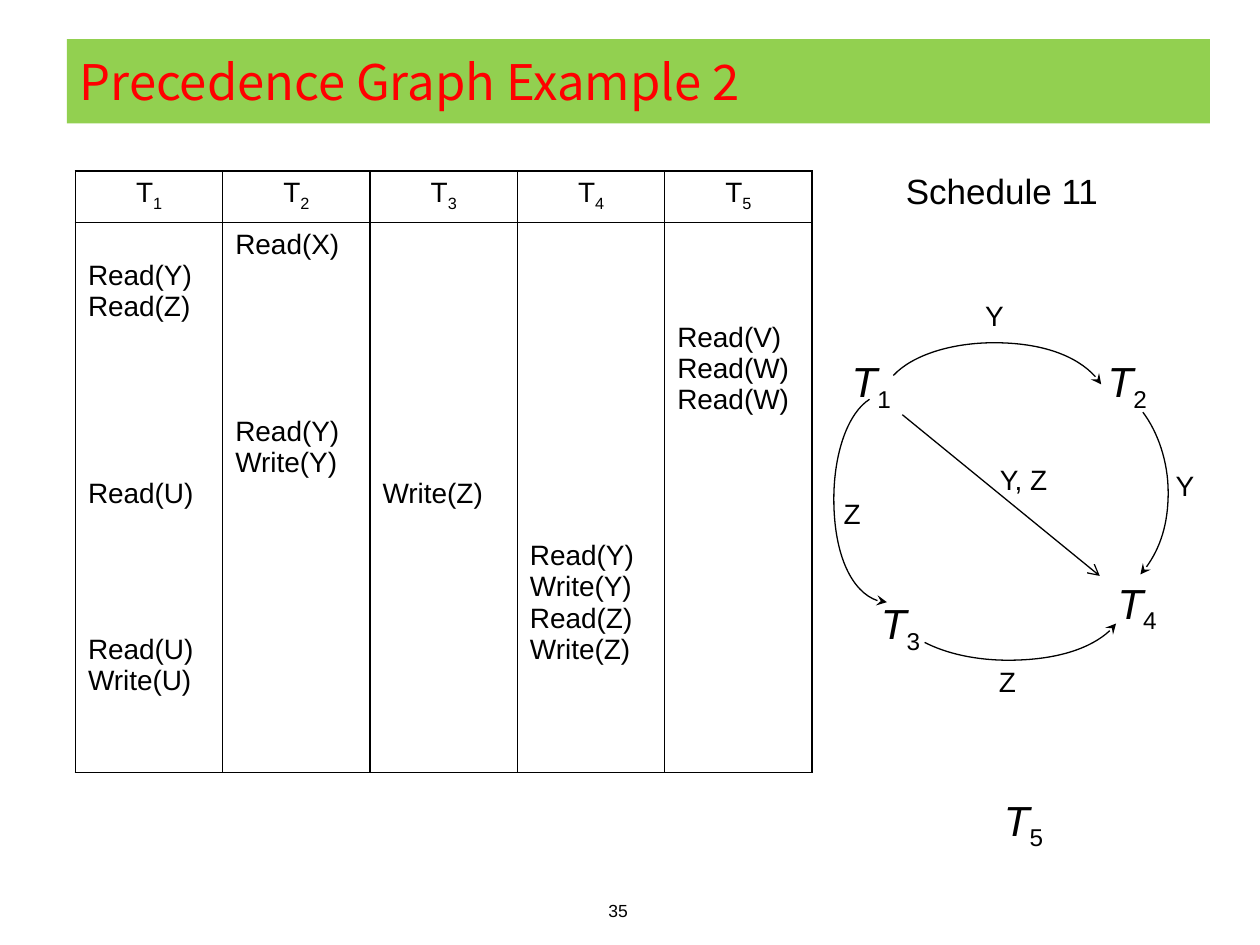
from lxml import etree
from pptx import Presentation
from pptx.dml.color import RGBColor
from pptx.enum import shapes as es, text as et
from pptx.oxml.ns import qn
from pptx.util import Cm, Pt

COL = {"ink": "000000", "band": "92D050", "title": "FF0000"}
TITLE = "Precedence Graph Example 2"
MID = et.PP_ALIGN.CENTER

# Transaction -> (time step, operations that follow one another)
OPS = {
    "1": [(1, ["Read(Y)", "Read(Z)"]), (8, ["Read(U)"]),
          (13, ["Read(U)", "Write(U)"])],
    "2": [(0, ["Read(X)"]), (6, ["Read(Y)", "Write(Y)"])],
    "3": [(8, ["Write(Z)"])],
    "4": [(10, ["Read(Y)", "Write(Y)", "Read(Z)", "Write(Z)"])],
    "5": [(3, ["Read(V)", "Read(W)", "Read(W)"])],
}
STEP = 17.8  # points per time step

NODES = {"1": (16.89, 7.11), "2": (22.05, 7.11), "3": (17.48, 11.99),
         "4": (22.25, 11.58), "5": (19.96, 15.95)}
LABELS = [("Y", 19.43, 5.89, 1.24), ("Y", 23.27, 9.32, 1.24),
          ("Z", 19.69, 13.28, 1.24), ("Z", 16.56, 9.88, 1.24),
          ("Y, Z", 19.71, 9.19, 1.85)]
# Each arc: start point, then two cubic Bézier segments
ARCS = [
    [(18.01, 7.57), (18.39, 7.16), (19.18, 6.91), (20.04, 6.91),
     (21.01, 6.91), (21.89, 7.24), (22.2, 7.75)],
    [(23.04, 8.31), (23.34, 8.71), (23.55, 9.3), (23.55, 9.93),
     (23.55, 10.57), (23.34, 11.2), (22.99, 11.58)],
    [(17.53, 8.05), (17.09, 8.33), (16.81, 9.14), (16.81, 10.06),
     (16.81, 11.2), (17.27, 12.14), (17.88, 12.14)],
    [(18.64, 12.95), (19.08, 13.18), (19.69, 13.31), (20.32, 13.31),
     (21.31, 13.31), (22.2, 13), (22.5, 12.57)],
]
EDGE = [(18.19, 8.36), (22.17, 11.61)]


def rgb(key):
    return RGBColor.from_string(COL[key])


def write(para, words, size, sub="", color="ink", face="Arial", **more):
    """Add words, then an optional subscript that keeps only the base font."""
    for word, extra in ((words, more), (sub, {})):
        if not word:
            continue
        run = para.add_run()
        run.text = word
        run.font.color.rgb = rgb(color)
        for key, val in {"name": face, "size": Pt(size), **extra}.items():
            setattr(run.font, key, val)
        if word is sub:
            run.font._element.set("baseline", "-25000")


def label(slide, box, words, size, align=MID, anchor=et.MSO_ANCHOR.TOP, **more):
    frame = slide.shapes.add_textbox(*map(Cm, box)).text_frame
    frame.word_wrap = False
    frame.vertical_anchor = anchor
    frame.paragraphs[0].alignment = align
    write(frame.paragraphs[0], words, size, **more)


def style(shape, head):
    """Thin dark line with an arrowhead at its end and no shadow."""
    shape.line.color.rgb = rgb("ink")
    shape.line.width = Pt(0.75)
    line = shape.line._get_or_add_ln()
    etree.SubElement(line, qn("a:tailEnd"), type=head)
    props = shape._element.spPr
    if props.find(qn("a:effectLst")) is None:
        etree.SubElement(props, qn("a:effectLst"))


def arc(slide, pts):
    pts = [(Cm(x), Cm(y)) for x, y in pts]
    form = slide.shapes.build_freeform(*pts[0])
    form.add_line_segments(pts[1:], close=False)
    shape = form.convert_to_shape()
    shape.shadow.inherit = False
    shape.fill.background()
    steps = list(shape._element.iter(qn("a:lnTo")))
    for i in range(0, len(steps), 3):
        curve = etree.SubElement(steps[i].getparent(), qn("a:cubicBezTo"))
        for step in steps[i:i + 3]:
            curve.append(step[0])
            step.getparent().remove(step)
    style(shape, "stealth")


def border(cell):
    props = cell._tc.get_or_add_tcPr()
    for i, side in enumerate(("lnL", "lnR", "lnT", "lnB")):
        line = etree.Element(qn("a:" + side), w=str(Pt(1)))
        fill = etree.SubElement(line, qn("a:solidFill"))
        etree.SubElement(fill, qn("a:srgbClr"), val=COL["ink"])
        props.insert(i, line)


def schedule(slide):
    grid = slide.shapes.add_table(2, len(OPS), Cm(1.52), Cm(3.45),
                                  Cm(14.85), Cm(12.12)).table
    grid.first_row = grid.horz_banding = False
    for row, high in zip(grid.rows, (1.04, 11.08)):
        row.height = Cm(high)
    for col, (num, blocks) in enumerate(OPS.items()):
        grid.columns[col].width = Cm(2.97)
        top, body = grid.cell(0, col), grid.cell(1, col)
        for cell in (top, body):
            cell.fill.background()
            border(cell)
        para = top.text_frame.paragraphs[0]
        para.alignment = MID
        write(para, "T", 16, sub=num)
        body.margin_top = Cm(0.13) + Pt(blocks[0][0] * STEP)
        para, now = body.text_frame.paragraphs[0], blocks[0][0]
        for start, ops in blocks:
            for i, op in enumerate(ops):
                if para is None:
                    para = body.text_frame.add_paragraph()
                if start + i > now:
                    para.space_before = Pt((start + i - now) * STEP)
                write(para, op, 16)
                para, now = None, start + i + 1


def main():
    deck = Presentation()
    deck.slide_width, deck.slide_height = Cm(25.4), Cm(19.05)
    slide = deck.slides.add_slide(deck.slide_layouts[5])

    title = slide.shapes.title
    box = {"left": 1.35, "top": 0.79, "width": 23.04, "height": 1.7}
    for key, val in box.items():
        setattr(title, key, Cm(val))
    title.fill.solid()
    title.fill.fore_color.rgb = rgb("band")
    frame = title.text_frame
    frame.auto_size = et.MSO_AUTO_SIZE.NONE
    frame.vertical_anchor = et.MSO_ANCHOR.MIDDLE
    frame.paragraphs[0].alignment = et.PP_ALIGN.LEFT
    write(frame.paragraphs[0], TITLE, 28, color="title", face="Noto Sans CJK KR")

    schedule(slide)
    label(slide, (18.01, 3.3, 4.42, 1.12), "Schedule 11", 20,
          align=et.PP_ALIGN.LEFT)
    for num, (x, y) in NODES.items():
        label(slide, (x, y, 1.35, 1.27), "T", 24, sub=num, italic=True,
              anchor=et.MSO_ANCHOR.MIDDLE)
    for pts in ARCS:
        arc(slide, pts)
    (x1, y1), (x2, y2) = EDGE
    edge = slide.shapes.add_connector(es.MSO_CONNECTOR.STRAIGHT,
                                      Cm(x1), Cm(y1), Cm(x2), Cm(y2))
    style(edge, "arrow")
    for words, x, y, wide in LABELS:
        label(slide, (x, y, wide, 0.94), words, 16)
    label(slide, (11.99, 18.01, 0.94, 0.69), "35", 10)
    deck.save("out.pptx")


if __name__ == "__main__":
    main()
